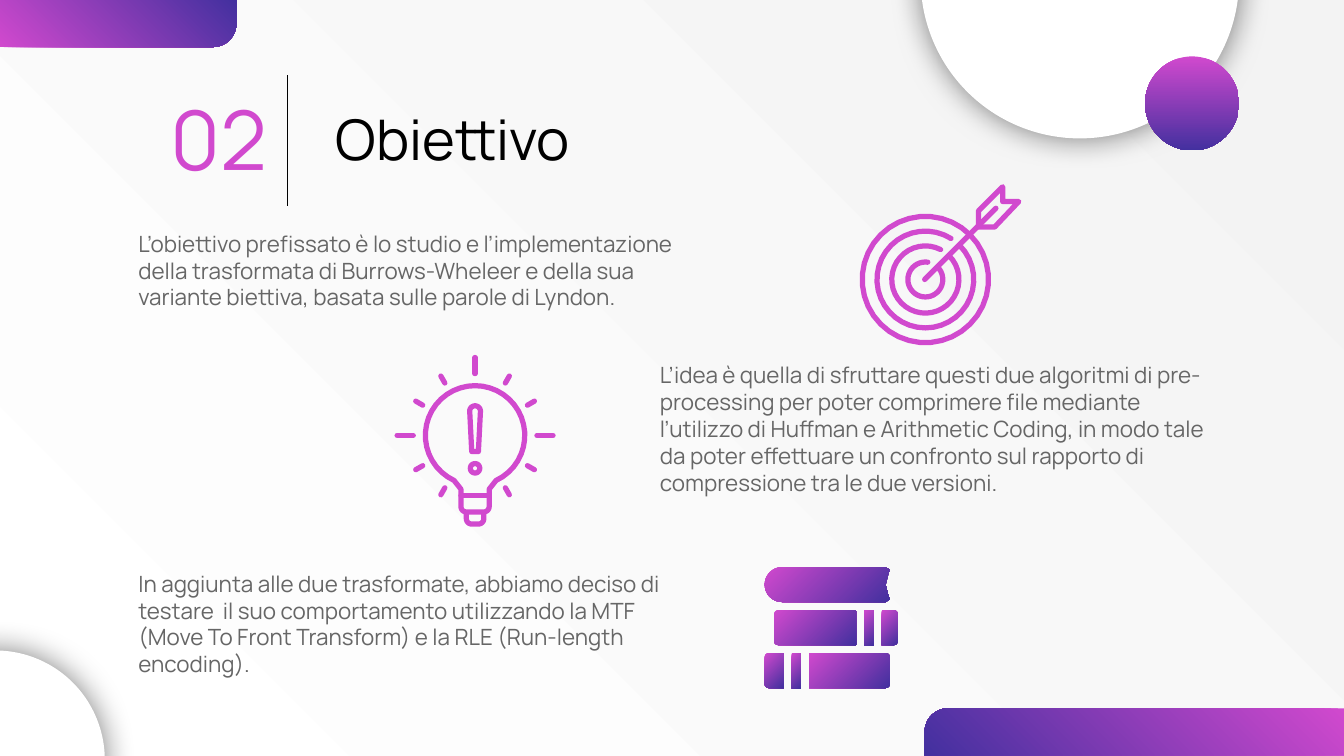
from math import cos, radians, sin

from lxml.etree import SubElement
from pptx import Presentation
from pptx.dml.color import RGBColor
from pptx.enum.shapes import MSO_CONNECTOR, MSO_SHAPE
from pptx.enum.text import MSO_ANCHOR
from pptx.oxml.ns import qn
from pptx.util import Pt

PX = 9144  # 100 px to the inch
FONT = "Manrope"
PINK = RGBColor(0xD1, 0x49, 0xCE)
PURPLE = RGBColor(0x43, 0x30, 0x9F)
WHITE = RGBColor(0xFF, 0xFF, 0xFF)
PALE = RGBColor(0xF3, 0xF3, 0xF3)
BLACK = RGBColor(0x00, 0x00, 0x00)
GRAY = RGBColor(0x66, 0x66, 0x66)


def arc_points(center_x, center_y, radius, start, end, steps=36):
    """Points along an arc, with angles in degrees clockwise from the right."""
    angles = [radians(start + (end - start) * i / steps) for i in range(steps + 1)]
    return [(center_x + radius * cos(a), center_y + radius * sin(a)) for a in angles]


def add_outline(shapes, contours):
    """Add one freeform made of (points, closed) contours."""
    builder = None
    for points, closed in contours:
        points = [(round(x * PX), round(y * PX)) for x, y in points]
        if builder is None:
            builder = shapes.build_freeform(*points[0], scale=1.0)
        else:
            builder.move_to(*points[0])
        builder.add_line_segments(points[1:], close=closed)
    shape = builder.convert_to_shape()
    shape.shadow.inherit = False
    return shape


presentation = Presentation()
presentation.slide_width = 1000 * PX
presentation.slide_height = presentation.slide_width * 9 // 16
slide = presentation.slides.add_slide(presentation.slide_layouts[6])
shapes = slide.shapes
gradients = [(slide.background.fill, WHITE, PALE, 315)]

# Corner bands
for left, top, width, rotation in [(688, 527, 312, 0), (0, 0, 176, 180)]:
    band = shapes.add_shape(MSO_SHAPE.ROUND_1_RECTANGLE,
                            left * PX, top * PX, width * PX, 35 * PX)
    band.adjustments[0] = 0.5
    band.rotation = rotation
    band.shadow.inherit = False
    band.line.fill.background()
    band._element.spPr.find(qn("a:xfrm")).set("flipH", "1")
    gradients.append((band.fill, PINK, PURPLE, 45))

# White discs with a soft shadow, and the small gradient disc
for left, top, size, shadowed in [(-85, 484, 163, True), (685, -134, 237, True),
                                  (852, 42, 70, False)]:
    disc = shapes.add_shape(MSO_SHAPE.OVAL, left * PX, top * PX, size * PX, size * PX)
    disc.shadow.inherit = False
    disc.line.fill.background()
    if shadowed:
        disc.fill.solid()
        disc.fill.fore_color.rgb = WHITE
        effects = disc._element.spPr.find(qn("a:effectLst"))
        shadow = SubElement(effects, qn("a:outerShdw"), blurRad=str(Pt(16.9)),
                            algn="ctr", rotWithShape="0")
        color = SubElement(shadow, qn("a:srgbClr"), val="000000")
        SubElement(color, qn("a:alpha"), val="50000")
    else:
        gradients.append((disc.fill, PINK, PURPLE, 90))

# Texts: left, top, width, height, left inset, anchor, size, color, wording
texts = [
    (240, 57, 660, 91, 10, MSO_ANCHOR.MIDDLE, 30, BLACK, "Obiettivo"),
    (78, 161, 455, 164, 25, MSO_ANCHOR.TOP, 12, GRAY,
     "L’obiettivo prefissato è lo studio e l’implementazione della trasformata di "
     "Burrows-Wheleer e della sua variante biettiva, basata sulle parole di Lyndon."),
    (466, 259, 455, 159, 25, MSO_ANCHOR.TOP, 12, GRAY,
     "L’idea è quella di sfruttare questi due algoritmi di pre-processing per poter "
     "comprimere file mediante l’utilizzo di Huffman e Arithmetic Coding, in modo tale "
     "da poter effettuare un confronto sul rapporto di compressione tra le due versioni."),
    (78, 414, 455, 106, 25, MSO_ANCHOR.TOP, 12, GRAY,
     "In aggiunta alle due trasformate, abbiamo deciso di testare  il suo comportamento "
     "utilizzando la MTF (Move To Front Transform) e la RLE (Run-length encoding)."),
    (117, 54, 123, 97, 10, MSO_ANCHOR.MIDDLE, 44, PINK, "02"),
]
for left, top, width, height, inset, anchor, size, color, wording in texts:
    box = shapes.add_textbox(left * PX, top * PX, width * PX, height * PX)
    frame = box.text_frame
    frame.word_wrap = True
    frame.vertical_anchor = anchor
    frame.margin_left = inset * PX
    frame.margin_right = frame.margin_top = frame.margin_bottom = 10 * PX
    paragraph = frame.paragraphs[0]
    paragraph.text = wording
    paragraph.font.name = FONT
    paragraph.font.size = Pt(size)
    paragraph.font.color.rgb = color

# Target: rings open above the arrow, shaft and feathers
rings = [(47, 315), (36, 302), (25, 297), (13, 278)]
target = add_outline(shapes, [
    *[(arc_points(688.5, 208, radius, -45, end), radius == 47) for radius, end in rings],
    ([(688, 208), (741, 155)], False),
    ([(746, 139), (728, 157), (728, 169), (740, 169), (758, 150), (746, 150)], True),
])

# Light bulb: glass with base, exclamation bar and dot
bulb = add_outline(shapes, [
    ([*arc_points(347, 377, 4, 90, 180, 6), (343, 364),
      *arc_points(353.5, 324, 37, 115, 425), (364, 364),
      *arc_points(360, 377, 4, 0, 90, 6)], True),
    ([(343, 369), (364, 369)], False),
    ([(347, 382), *arc_points(351, 386, 4, 180, 90, 6),
      *arc_points(356, 386, 4, 90, 0, 6), (360, 382)], False),
])
bar = add_outline(shapes, [
    ([*arc_points(353.5, 306, 4, 180, 360), (356, 336), (351, 336)], True)])
dot = add_outline(shapes, [(arc_points(353.5, 348.5, 3.5, 0, 360), True)])
strokes = [target, bulb, bar, dot]
for shape in strokes:
    shape.fill.background()

# Rays every 30 degrees, longer on the axes, none below the bulb
for angle in range(120, 421, 30):
    inner, outer = (46, 58) if angle % 90 == 0 else (45, 51)
    across, down = cos(radians(angle)) * PX, sin(radians(angle)) * PX
    center_x, center_y = 353.5 * PX, 324 * PX
    ray = shapes.add_connector(
        MSO_CONNECTOR.STRAIGHT,
        round(center_x + inner * across), round(center_y + inner * down),
        round(center_x + outer * across), round(center_y + outer * down))
    SubElement(ray._element.spPr, qn("a:effectLst"))
    strokes.append(ray)

for stroke in strokes:
    stroke.line.color.rgb = PINK
    stroke.line.width = Pt(2.8)
    line = stroke.line._get_or_add_ln()
    line.set("cap", "rnd")
    SubElement(line, qn("a:round"))

# Books: the top one has a round spine, the others are blocks with one soft side
books = [[*arc_points(582, 435, 13, 90, 270), (659, 422), (662, 424), (661, 427),
          (659, 435), (661, 443), (662, 446), (659, 448)]]
blocks = [  # left, right, top, left corner radius, right corner radius
    (643, 650, 454, 0, 0), (656, 668, 454, 0, 3), (576, 637, 454, 3, 0),
    (589, 596, 486, 0, 0), (602, 662, 486, 0, 3), (569, 583, 486, 3, 0),
]
for left, right, top, soft_left, soft_right in blocks:
    bottom = top + 26
    books.append([
        *arc_points(left + soft_left, top + soft_left, soft_left, 180, 270, 6),
        *arc_points(right - soft_right, top + soft_right, soft_right, 270, 360, 6),
        *arc_points(right - soft_right, bottom - soft_right, soft_right, 0, 90, 6),
        *arc_points(left + soft_left, bottom - soft_left, soft_left, 90, 180, 6)])
for points in books:
    book = add_outline(shapes, [(points, True)])
    book.line.fill.background()
    gradients.append((book.fill, PINK, PURPLE, 45))

# Divider beside the number
divider = shapes.add_connector(MSO_CONNECTOR.STRAIGHT, 214 * PX, 56 * PX, 214 * PX, 153 * PX)
divider.line.color.rgb = BLACK
divider.line.width = Pt(0.75)
SubElement(divider._element.spPr, qn("a:effectLst"))

# Gradients, with angles clockwise
for fill, start, end, angle in gradients:
    fill.gradient()
    fill.gradient_angle = 360 - angle
    for stop, color in zip(fill.gradient_stops, (start, end)):
        stop.color.rgb = color

presentation.save("out.pptx")
